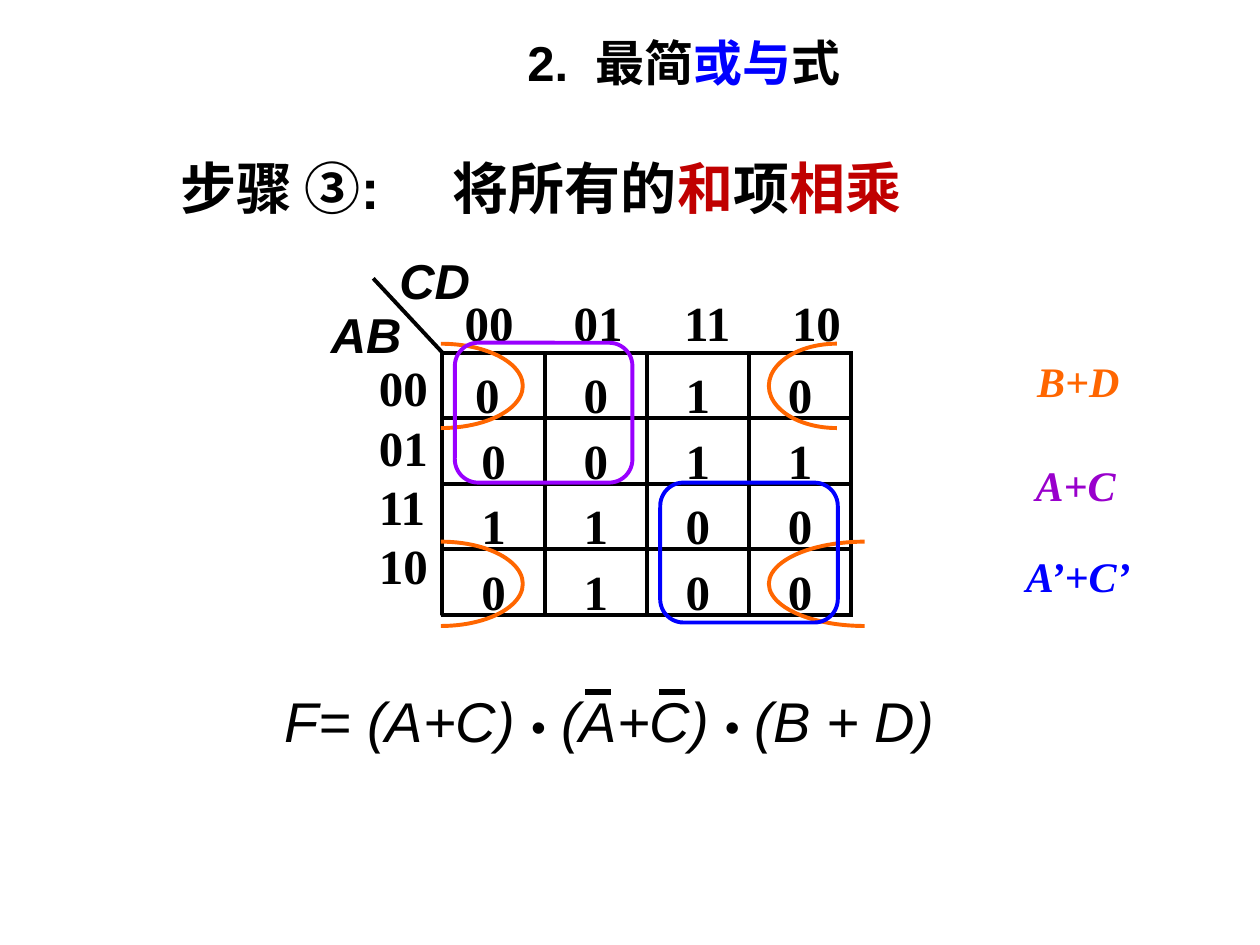
from dataclasses import dataclass

from lxml import etree
from pptx import Presentation
from pptx import util as u
from pptx.dml.color import RGBColor
from pptx.enum import shapes, text
from pptx.oxml.ns import qn


@dataclass(frozen=True)
class Theme:
    black: str = "000000"
    blue: str = "0000FF"
    red: str = "C00000"
    orange: str = "FF6600"
    violet: str = "9900FF"
    purple: str = "9900CC"
    sans: str = "Arial"
    serif: str = "Times New Roman"
    chinese: str = "Noto Sans CJK SC"
    large: int = 32
    body: int = 28
    small: int = 24
    stroke: float = 2.25
    bar: float = 3


THEME = Theme()


def write(frame, paragraphs, size=THEME.body, font=THEME.sans, color=THEME.black,
          bold=True, italic=False, align=None, tabs=(), line_height=None):
    """Fill a frame; a paragraph is a list of (text, overrides) runs."""
    for index, runs in enumerate(paragraphs):
        paragraph = frame.paragraphs[0] if index == 0 else frame.add_paragraph()
        paragraph.alignment = align
        if line_height:
            paragraph.line_spacing = u.Pt(line_height)
        if tabs:
            stops = etree.SubElement(paragraph._p.get_or_add_pPr(), qn("a:tabLst"))
            for position, kind in tabs:
                etree.SubElement(stops, qn("a:tab"), pos=str(u.Cm(position)), algn=kind)
        for words, changes in runs:
            style = dict(size=size, font=font, color=color) | changes
            run = paragraph.add_run()
            run.text = words
            run.font.size = u.Pt(style["size"])
            run.font.bold, run.font.italic = bold, italic
            run.font.color.rgb = RGBColor.from_string(style["color"])
            run.font.name = style["font"]
            etree.SubElement(run._r.get_or_add_rPr(), qn("a:ea"), typeface=THEME.chinese)


def add_text(slide, left, top, width, height, paragraphs, inset=True, **style):
    shape = slide.shapes.add_textbox(u.Cm(left), u.Cm(top), u.Cm(width), u.Cm(height))
    frame = shape.text_frame
    frame.word_wrap = inset
    if not inset:
        frame.margin_left = frame.margin_right = frame.margin_top = frame.margin_bottom = 0
    write(frame, paragraphs, **style)


def add_line(slide, x1, y1, x2, y2, weight=THEME.stroke):
    line = slide.shapes.add_connector(shapes.MSO_CONNECTOR.STRAIGHT,
                                      u.Cm(x1), u.Cm(y1), u.Cm(x2), u.Cm(y2))
    line.line.width = u.Pt(weight)
    line.line.color.rgb = RGBColor.from_string(THEME.black)
    properties = line._element.spPr
    properties.find(qn("a:ln")).set("cap", "sq")
    etree.SubElement(properties, qn("a:effectLst"))


def add_outline(slide, kind, left, top, width, height, color, rounding=None):
    shape = slide.shapes.add_shape(kind, u.Cm(left), u.Cm(top), u.Cm(width), u.Cm(height))
    shape.shadow.inherit = False
    if rounding is not None:
        shape.adjustments[0] = rounding
    shape.fill.background()
    shape.line.width = u.Pt(THEME.stroke)
    shape.line.color.rgb = RGBColor.from_string(color)
    return shape


def draw_heading(slide, left, top):
    add_text(slide, left + 0.92, top, 18.97, 1.45,
             [[("2.  最简", {}), ("或与", {"color": THEME.blue}), ("式", {})]],
             align=text.PP_ALIGN.CENTER)
    red = {"font": THEME.serif, "color": THEME.red}
    chinese = {"font": THEME.chinese}
    add_text(slide, left, top + 2.44, 17.93, 1.63,
             [[("步骤 ", {}), ("③", {"font": THEME.serif}), (":\t", {}),
               ("将所有的", chinese), ("和", red), ("项", chinese), ("相乘", red)]],
             size=THEME.large, tabs=[(5.5, "l")])


def draw_map(slide, left, top, column=2.06, row=1.32):
    """Karnaugh map whose grid starts at left, top."""
    codes = ["00", "01", "11", "10"]
    values = [["0 ", "0", "1", "0"], ["0", "0", "1", "1"],
              ["1", "1", "0", "0"], ["0", "1", "0", "0"]]

    # Cells
    for y, digits in enumerate(values):
        for x, digit in enumerate(digits):
            cell = add_outline(slide, shapes.MSO_SHAPE.RECTANGLE, left + x * column,
                               top + y * row, column, row, THEME.black)
            frame = cell.text_frame
            frame.vertical_anchor = text.MSO_ANCHOR.TOP
            frame.margin_top, frame.margin_bottom = u.Cm(0.24), 0
            write(frame, [[(digit, {})]], font=THEME.serif, align=text.PP_ALIGN.CENTER)

    # Grid rules with square ends
    right, bottom = left + 4 * column, top + 4 * row
    for index in range(5):
        x, y = left + index * column, top + index * row
        add_line(slide, left, y, right, y)
        add_line(slide, x, top, x, bottom)

    # Axis names and codes
    add_line(slide, left, top, left - 1.37, top - 1.47)
    for name, dx, dy in (("AB", -2.5, -1.09), ("CD", -1.12, -2.18)):
        add_text(slide, left + dx, top + dy, 2.4, 1.45, [[(name, {})]], italic=True)
    add_text(slide, left - 0.29, top - 1.34, 8.81, 1.45,
             [[("".join("\t" + code for code in codes), {})]],
             font=THEME.serif, tabs=[(0.98 + 2.2 * i, "ctr") for i in range(4)])
    add_text(slide, left - 1.53, top - 0.04, 1.7, 4.88, [[(code, {})] for code in codes],
             font=THEME.serif, line_height=34)

    # Groups of zeros: four corners, then two blocks
    height = 1.7
    for dy in (-0.18, 3.81):
        right_width = 1.37 if dy < 0 else 1.93
        for kind, dx, width in ((shapes.MSO_SHAPE.RIGHT_BRACKET, -0.03, 1.65),
                                (shapes.MSO_SHAPE.LEFT_BRACKET, 6.58, right_width)):
            add_outline(slide, kind, left + dx, top + dy, width, height, THEME.orange,
                        height / 2 / min(width, height))
    for dx, dy, color in ((0.25, -0.2, THEME.violet), (4.39, 2.62, THEME.blue)):
        add_outline(slide, shapes.MSO_SHAPE.ROUNDED_RECTANGLE, left + dx, top + dy,
                    3.58, 2.82, color, 0.167)


def draw_terms(slide, left, top):
    for term, dx, dy, width, color in (("B+D", 0.23, 0, 1.68, THEME.orange),
                                       ("A+C", 0.2, 2.11, 1.63, THEME.purple),
                                       ("A’+C’", 0, 3.94, 2.13, THEME.blue)):
        add_text(slide, left + dx, top + dy, width, 1.02, [[(term, {})]], inset=False,
                 size=THEME.small, font=THEME.serif, color=color, italic=True)


def draw_formula(slide, left, top):
    dot = ("•", {"size": THEME.small})
    add_text(slide, left, top, 14.4, 1.6,
             [[("F= (A+C) ", {}), dot, (" (A+C) ", {}), dot, (" (B + D)", {})]],
             size=THEME.large, bold=False, italic=True)
    # Negation bars over A and C
    for dx in (6.36, 7.84):
        add_line(slide, left + dx, top + 0.23, left + dx + 0.42, top + 0.23, THEME.bar)


def main():
    presentation = Presentation()
    presentation.slide_width, presentation.slide_height = u.Cm(25.4), u.Cm(19.05)
    slide = presentation.slides.add_slide(presentation.slide_layouts[6])
    draw_heading(slide, 3.38, 0.53)
    draw_map(slide, 8.92, 7.11)
    draw_terms(slide, 20.68, 7.16)
    draw_formula(slide, 5.49, 13.72)
    presentation.save("out.pptx")


if __name__ == "__main__":
    main()
